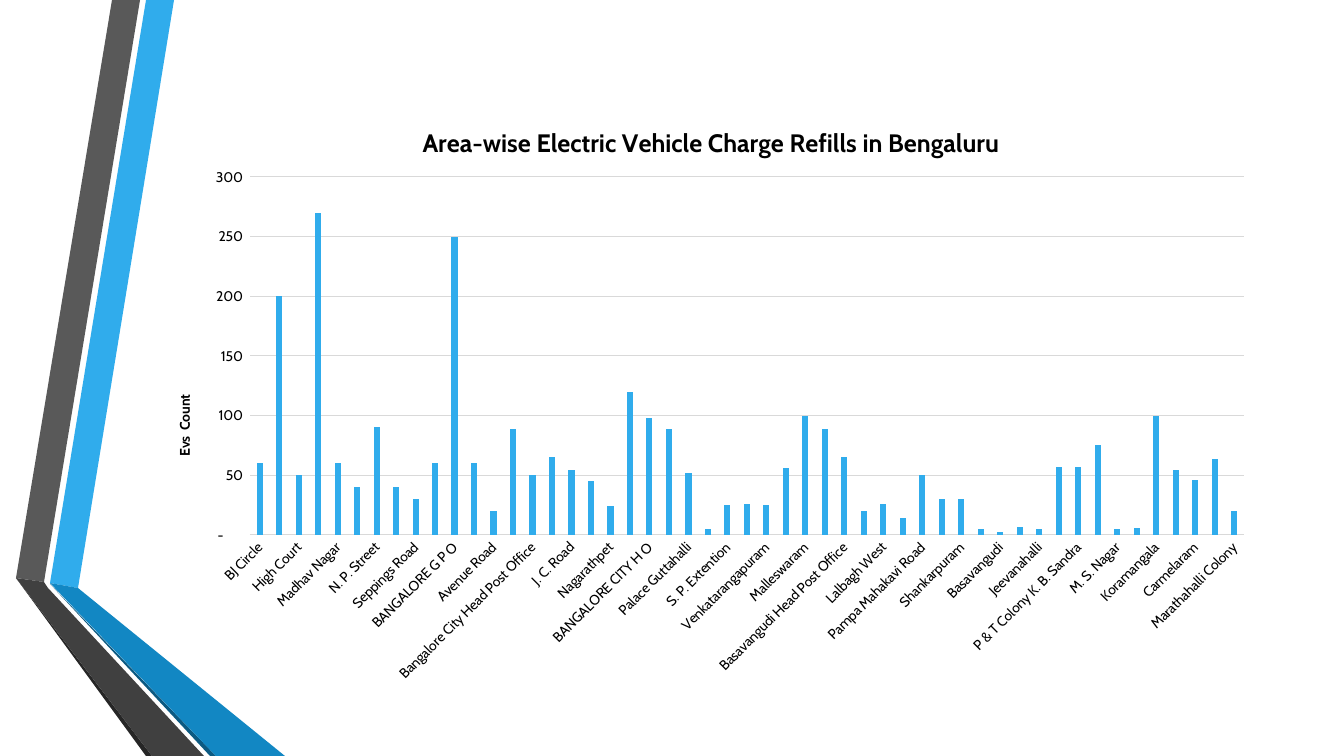
"""Build a slide with a column chart of electric vehicle charge refills by area."""
from lxml import etree
from pptx import Presentation, util as u
from pptx.chart.data import CategoryChartData
from pptx.dml.color import RGBColor
from pptx.enum import chart as ch
from pptx.oxml.ns import qn

PIXEL = 914400 / 100.8
FONT = "Cabin"
BLUE, BLACK, GRID = "30ACEC", "000000", "D9D9D9"
CHART_BOX = (148, 99, 1118, 594)

RIBBONS = [
    ("30ACEC", [(50, 583), (78, 588), (174, 0), (146, 0)]),
    ("595959", [(140, 0), (112, 0), (16, 578), (44, 582)]),
    ("262626", [(16, 578), (146, 756), (152, 756)]),
    ("0C5A82", [(50, 584), (210, 756), (216, 756)]),
    ("1287C3", [(50, 583), (216, 756), (285, 756), (78, 588)]),
    ("404040", [(204, 756), (48, 588), (44, 582), (16, 578), (152, 756)]),
]

REFILLS = [
    ("BJ Circle", 60), ("Brigade Road", 200), ("High Court", 50),
    ("Legislator's Home", 270), ("Madhav Nagar", 60), ("M. G. Road", 40),
    ("N. P. Street", 90), ("Plain Street", 40), ("Seppings Road", 30),
    ("Vidhana Soudha", 60), ("BANGALORE G P O", 250), ("Shivajinagar", 60),
    ("Avenue Road", 20), ("Bangalore Corpn Bldg", 89),
    ("Bangalore City Head Post Office", 50), ("BR Market", 65),
    ("J. C. Road", 54), ("N. R. Road", 45), ("Nagarathpet", 24),
    ("New Tharagupet", 120), ("BANGALORE CITY H O", 98), ("Malleswaram", 89),
    ("Palace Guttahalli", 52), ("Pipe Line Ext", 5), ("S. P. Extention", 25),
    ("Sampige Road", 26), ("Venkatarangapuram", 25),
    ("Vyalikaval Extension", 56), ("Malleswaram", 100), ("Vyalikaval", 89),
    ("Basavangudi Head Post Office", 65), ("Bull Temple Road", 20),
    ("Lalbagh West", 26), ("Mavalli", 14), ("Pampa Mahakavi Road", 50),
    ("S. P. Square", 30), ("Shankarpuram", 30), ("VV Puram", 5),
    ("Basavangudi", 2), ("Frazer Town", 7), ("Jeevanahalli", 5),
    ("J. C. Nagar", 57), ("P & T Colony K. B. Sandra", 57),
    ("R. T. Nagar H. O", 75), ("M. S. Nagar", 5), ("Maruthisevanagar", 6),
    ("Koramangala", 100), ("St. Johns Medical College", 54),
    ("Carmelaram", 46), ("Krishnarajapuram", 64), ("Marathahalli Colony", 20),
]


def px(length):
    return u.Emu(round(length * PIXEL))


def color(value):
    return RGBColor.from_string(value)


def style_font(font, size=10, bold=False, fill=BLACK):
    font.name, font.size, font.bold = FONT, u.Pt(size), bold
    font.color.rgb = color(fill)


def write(frame, words, **font_format):
    frame.text = words
    style_font(frame.paragraphs[0].runs[0].font, **font_format)


def style_line(line, fill):
    line.color.rgb = color(fill)
    line.width = u.Pt(0.75)


def rotate(element, degrees):
    body = next(element.iter(qn("a:bodyPr")))
    body.set("rot", str(degrees * 60000))
    body.set("vert", "horz")


def place(element, left, top, width=None, height=None):
    """Fix a chart part at a pixel position on the slide."""
    layout = element.find(qn("c:layout"))
    if layout is None:
        layout = etree.Element(qn("c:layout"))
        element.insert(0, layout)
    manual = etree.SubElement(layout, qn("c:manualLayout"))
    chart_left, chart_top, chart_width, chart_height = CHART_BOX
    settings = [("xMode", "edge"), ("yMode", "edge"),
                ("x", round((left - chart_left) / chart_width, 4)),
                ("y", round((top - chart_top) / chart_height, 4))]
    if width:
        settings.insert(0, ("layoutTarget", "inner"))
        settings += [("w", round(width / chart_width, 4)),
                     ("h", round(height / chart_height, 4))]
    for tag, value in settings:
        etree.SubElement(manual, qn("c:" + tag)).set("val", str(value))


def add_ribbon(slide, fill, points):
    builder = slide.shapes.build_freeform(*points[0], scale=PIXEL)
    builder.add_line_segments(points[1:], close=True)
    shape = builder.convert_to_shape()
    shape.shadow.inherit = False
    shape.fill.solid()
    shape.fill.fore_color.rgb = color(fill)
    shape.line.fill.background()


def style_axes(chart):
    areas, counts = chart.category_axis, chart.value_axis
    for axis in (areas, counts):
        axis.major_tick_mark = axis.minor_tick_mark = ch.XL_TICK_MARK.NONE
        style_font(axis.tick_labels.font)
    style_line(areas.format.line, GRID)
    areas_xml = chart.element.find(".//" + qn("c:catAx"))
    rotate(areas_xml, -45)
    skip = etree.Element(qn("c:tickLblSkip"))
    skip.set("val", "2")
    areas_xml.find(qn("c:noMultiLvlLbl")).addprevious(skip)

    counts.minimum_scale, counts.maximum_scale, counts.major_unit = 0, 300, 50
    counts.format.line.fill.background()
    style_line(counts.major_gridlines.format.line, GRID)
    labels = counts.tick_labels
    labels.number_format = '_(* #,##0_);_(* \\(#,##0\\);_(* "-"??_);_(@_)'
    labels.number_format_is_linked = False
    write(counts.axis_title.text_frame, "Evs  Count", bold=True)
    title_xml = chart.element.find(".//" + qn("c:valAx")).find(qn("c:title"))
    rotate(title_xml, -90)
    place(title_xml, 172, 392)


def add_refill_chart(slide):
    data = CategoryChartData()
    data.categories = [area for area, count in REFILLS]
    data.add_series("Series 1", [count for area, count in REFILLS])
    chart = slide.shapes.add_chart(
        ch.XL_CHART_TYPE.COLUMN_CLUSTERED, *map(px, CHART_BOX), data).chart
    style_font(chart.font)
    chart.has_legend = False
    write(chart.chart_title.text_frame,
          "Area-wise Electric Vehicle Charge Refills in Bengaluru",
          size=18, bold=True)
    place(chart.element.find(qn("c:chart")).find(qn("c:title")), 418, 121)
    place(chart.element.find(".//" + qn("c:plotArea")), 250, 177, 994, 358)
    plot = chart.plots[0]
    plot.gap_width, plot.overlap, plot.vary_by_categories = 219, -27, False
    fill = plot.series[0].format.fill
    fill.solid()
    fill.fore_color.rgb = color(BLUE)
    style_axes(chart)


def main():
    presentation = Presentation()
    presentation.slide_width, presentation.slide_height = px(1344), px(756)
    slide = presentation.slides.add_slide(presentation.slide_layouts[6])
    for fill, points in RIBBONS:
        add_ribbon(slide, fill, points)
    add_refill_chart(slide)
    presentation.save("out.pptx")


main()
